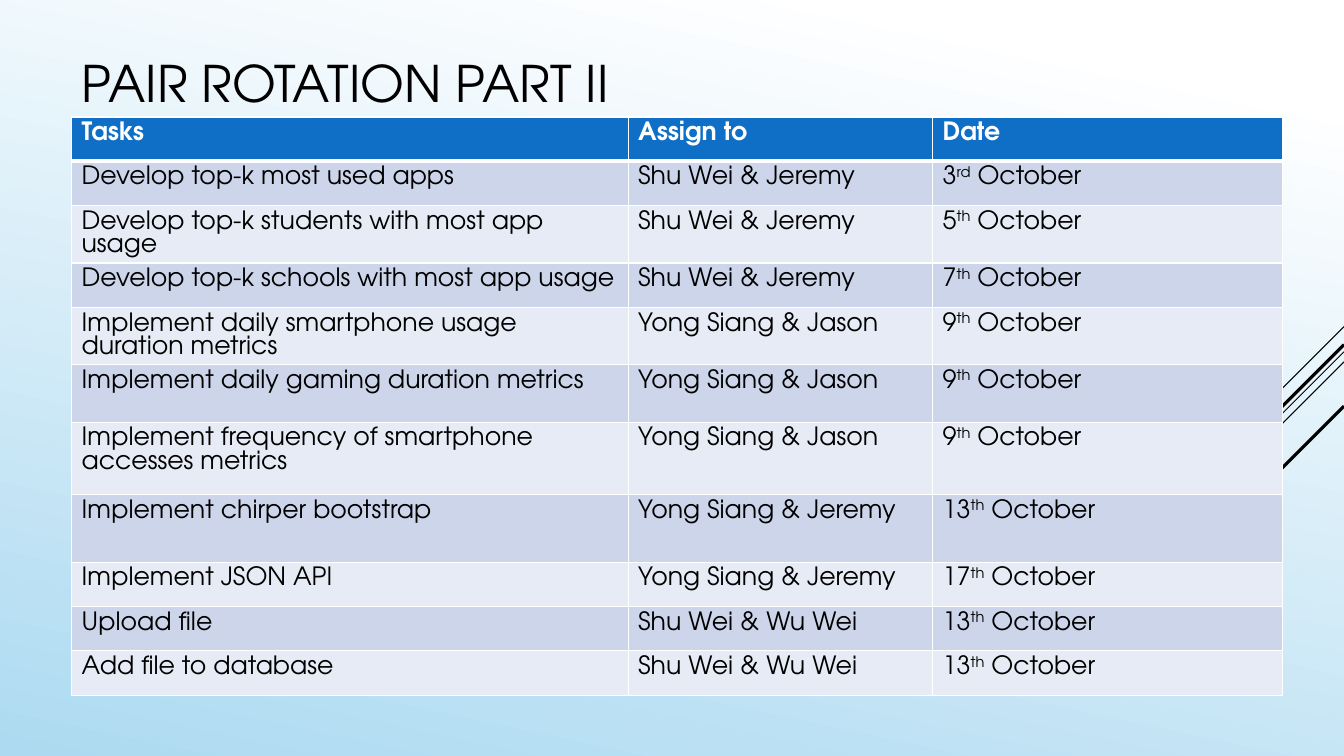
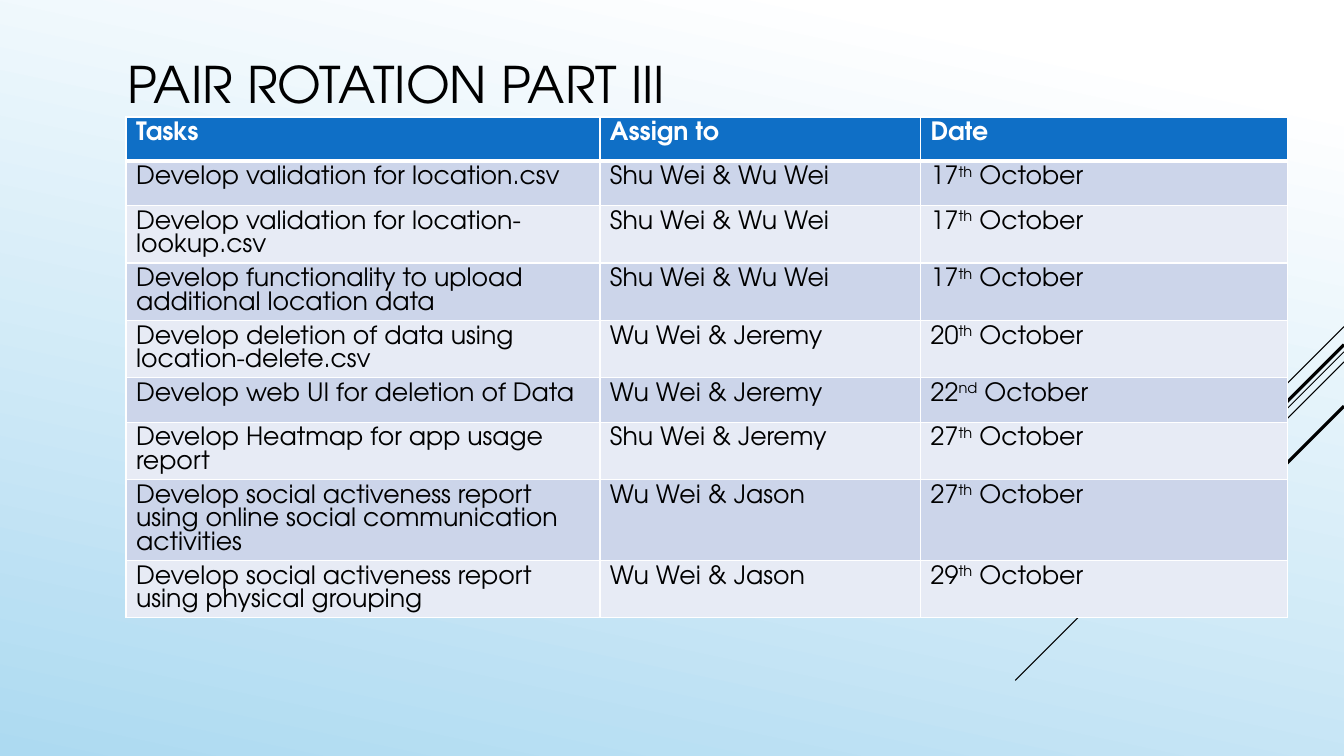
from lxml import etree
from pptx import Presentation
from pptx.dml.color import RGBColor
from pptx.enum.shapes import MSO_CONNECTOR
from pptx.enum.text import MSO_ANCHOR, MSO_AUTO_SIZE, PP_ALIGN
from pptx.oxml.ns import qn
from pptx.util import Pt

PX = 9144  # 100 px to the inch
LINE = MSO_CONNECTOR.STRAIGHT
MIDDLE = MSO_ANCHOR.MIDDLE
LEFT = PP_ALIGN.LEFT
NO_FIT = MSO_AUTO_SIZE.NONE

WIDE, HIGH = 1333, 750
FONT = "TeX Gyre Adventor"
COLORS = {
    "ink": "000000",
    "white": "FFFFFF",
    "sky": "ADDAF1",
    "head": "0F6FC6",
    "odd": "CCD5EA",
    "even": "E7EBF5",
}

# Diagonal rays from the right edge: top, run, weight
RAYS = [
    (324, 100, 0.75),
    (349, 326, 0.75),
    (359, 207, 0.75),
    (342, 191, 2.25),
    (403, 139, 2.25),
]

HEADS = ["Tasks", "Assign to", "Date"]

# Each row: task, pair, day in October, height
PART_TWO = [
    ("Develop top-k most used apps", "Shu Wei & Jeremy", 3, 44),
    ("Develop top-k students with most app usage", "Shu Wei & Jeremy", 5, 57),
    ("Develop top-k schools with most app usage", "Shu Wei & Jeremy", 7, 44),
    ("Implement daily smartphone usage duration metrics", "Yong Siang & Jason", 9, 57),
    ("Implement daily gaming duration metrics", "Yong Siang & Jason", 9, 57),
    ("Implement frequency of smartphone accesses metrics", "Yong Siang & Jason", 9, 72),
    ("Implement chirper bootstrap", "Yong Siang & Jeremy", 13, 67),
    ("Implement JSON API", "Yong Siang & Jeremy", 17, 44),
    ("Upload file", "Shu Wei & Wu Wei", 13, 44),
    ("Add file to database", "Shu Wei & Wu Wei", 13, 44),
]
PART_THREE = [
    ("Develop validation for location.csv", "Shu Wei & Wu Wei", 17, 44),
    ("Develop validation for location-lookup.csv", "Shu Wei & Wu Wei", 17, 57),
    ("Develop functionality to upload additional location data", "Shu Wei & Wu Wei", 17, 57),
    ("Develop deletion of data using location-delete.csv", "Wu Wei & Jeremy", 20, 57),
    ("Develop web UI for deletion of Data", "Wu Wei & Jeremy", 22, 44),
    ("Develop Heatmap for app usage report", "Shu Wei & Jeremy", 27, 57),
    ("Develop social activeness report using online social communication activities",
     "Wu Wei & Jason", 27, 80),
    ("Develop social activeness report using physical grouping", "Wu Wei & Jason", 29, 57),
]


def px(*sizes):
    return [size * PX for size in sizes]


def rgb(name):
    return RGBColor.from_string(COLORS[name])


def set_font(para, size, color, bold=False):
    para.font.name = FONT
    para.font.size = Pt(size)
    para.font.bold = bold
    para.font.color.rgb = rgb(color)


def paint_master(master):
    """Fill the shared backdrop with a slanted gradient."""
    fill = master.background.fill
    fill.gradient()
    fill.gradient_angle = 258
    for stop, color, spot in zip(fill.gradient_stops, ("white", "sky"), (0.1, 1)):
        stop.color.rgb = rgb(color)
        stop.position = spot


def add_rays(slide):
    for top, run, weight in RAYS:
        ray = slide.shapes.add_connector(LINE, *px(WIDE, top, WIDE - run, top + run))
        ray.line.color.rgb = rgb("ink")
        ray.line.width = Pt(weight)
        etree.SubElement(ray._element.spPr, qn("a:effectLst"))


def add_title(slide, text, box):
    title = slide.shapes.title
    title.left, title.top, title.width, title.height = px(*box)
    frame = title.text_frame
    frame.text = text
    frame.word_wrap = True
    frame.auto_size = NO_FIT
    frame.vertical_anchor = MIDDLE
    para = frame.paragraphs[0]
    para.alignment = LEFT
    set_font(para, 36, "ink")


def set_edges(cell, top, bottom):
    """Draw white cell borders; top and bottom are weights in points."""
    props = cell._tc.get_or_add_tcPr()
    edges = [("L", 1), ("R", 1), ("T", top), ("B", bottom)]
    for place, (side, weight) in enumerate(edges):
        edge = etree.Element(qn(f"a:ln{side}"), w=str(Pt(weight)))
        fill = etree.SubElement(edge, qn("a:solidFill"))
        etree.SubElement(fill, qn("a:srgbClr"), val=COLORS["white"])
        props.insert(place, edge)


def suffix(day):
    if 11 <= day <= 13:
        return "th"
    return {1: "st", 2: "nd", 3: "rd"}.get(day % 10, "th")


def write_date(para, day):
    for text in (str(day), suffix(day), " October"):
        run = para.add_run()
        run.text = text
        if text == suffix(day):
            run._r.get_or_add_rPr().set("baseline", "30000")


def add_table(slide, rows, left, top, cols):
    highs = [44] + [row[-1] for row in rows]
    box = px(left, top, sum(cols), sum(highs))
    table = slide.shapes.add_table(len(highs), len(cols), *box).table
    for col, width in zip(table.columns, px(*cols)):
        col.width = width
    for row, high in zip(table.rows, px(*highs)):
        row.height = high

    for r, values in enumerate([HEADS] + [row[:-1] for row in rows]):
        head = r == 0
        shade = "head" if head else "odd" if r % 2 else "even"
        for c, value in enumerate(values):
            cell = table.cell(r, c)
            cell.fill.solid()
            cell.fill.fore_color.rgb = rgb(shade)
            set_edges(cell, 3 if r == 1 else 1, 3 if head else 1)
            para = cell.text_frame.paragraphs[0]
            if isinstance(value, int):
                write_date(para, value)
            else:
                para.add_run().text = value
            set_font(para, 18, "white" if head else "ink", head)


def add_plan(deck, title, box, rows, left, cols):
    """Build one slide: rays, title and task table."""
    slide = deck.slides.add_slide(deck.slide_layouts[5])
    add_rays(slide)
    add_title(slide, title, box)
    add_table(slide, rows, left, 116, cols)


def main():
    deck = Presentation()
    deck.slide_width, deck.slide_height = px(WIDE, HIGH)
    paint_master(deck.slide_master)
    add_plan(deck, "PAIR ROTATION PART II", (71, -1, 1011, 165),
             PART_TWO, 71, (552, 302, 347))
    add_plan(deck, "PAIR ROTATION PART III", (116, 0, 1011, 165),
             PART_THREE, 125, (470, 318, 364))
    deck.save("out.pptx")


if __name__ == "__main__":
    main()
